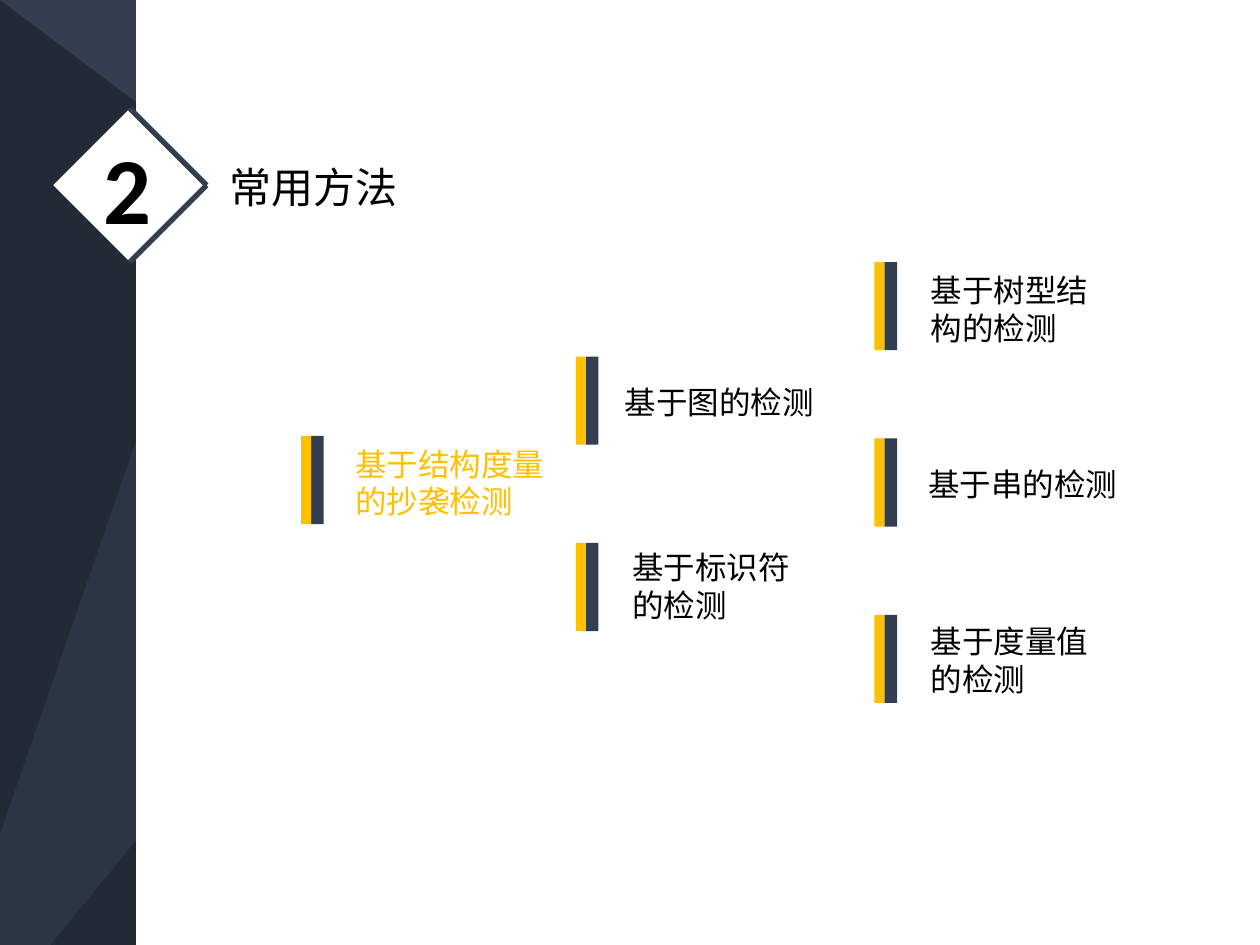
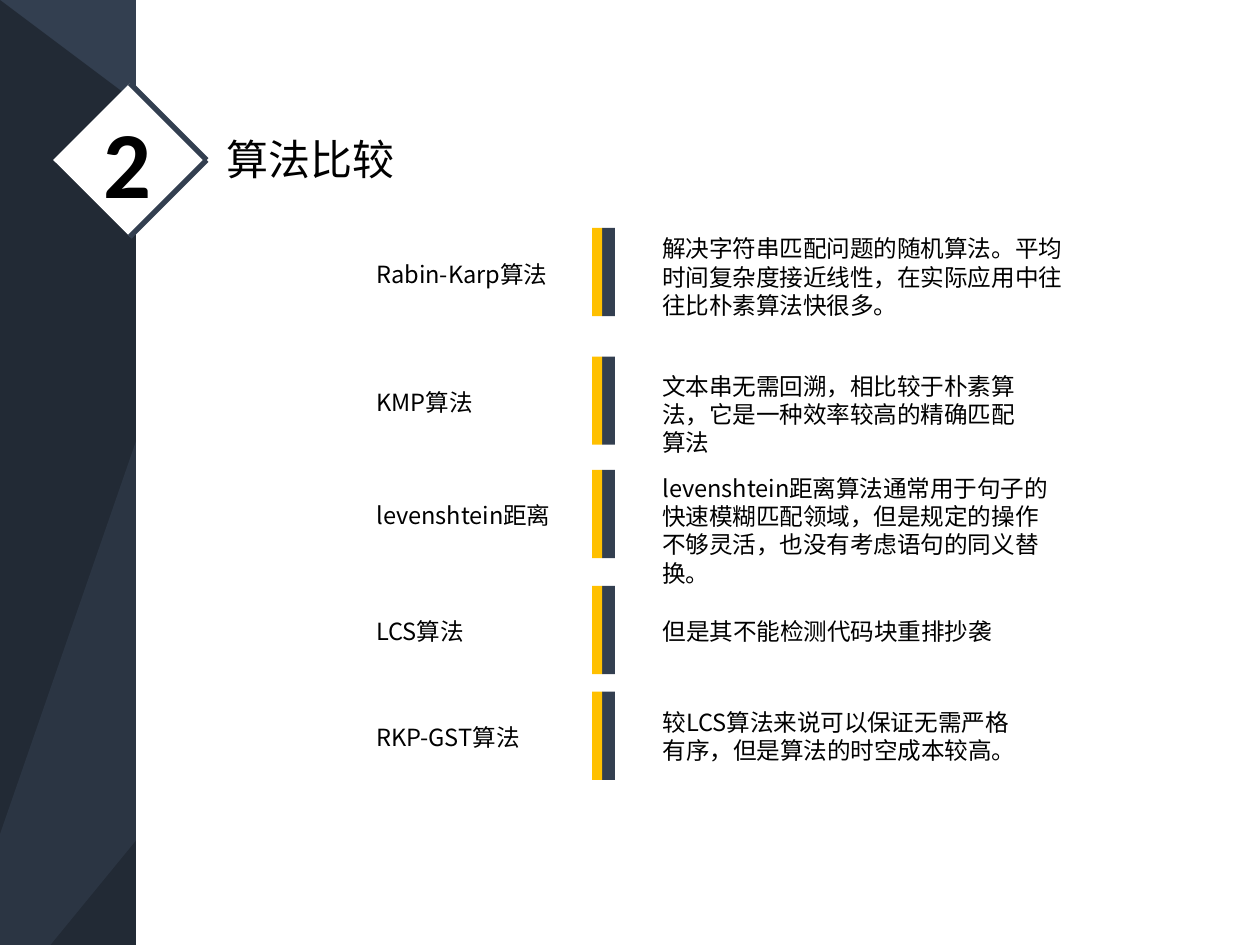
from pptx import Presentation
from pptx.dml.color import RGBColor
from pptx.enum.shapes import MSO_CONNECTOR, MSO_SHAPE
from pptx.enum.text import MSO_ANCHOR, MSO_AUTO_SIZE, PP_ALIGN
from pptx.oxml.ns import qn
from pptx.util import Inches, Pt
from lxml.etree import SubElement

SLATE = RGBColor(0x33, 0x3F, 0x50)
DEEP = RGBColor(0x22, 0x2A, 0x35)
MIDDLE = RGBColor(0x2B, 0x35, 0x43)
GOLD = RGBColor(0xFF, 0xC0, 0x00)
WHITE = RGBColor(0xFF, 0xFF, 0xFF)
BLACK = RGBColor(0, 0, 0)
CJK_FONT = "Noto Sans CJK SC"
NUMBER_FONT = "Calibri"

SLIDE_W, SLIDE_H = 10, 7.5
BAND_W = 1.08
GOLD_W, SLATE_W, BAR_H = 0.08, 0.1, 0.7

# Each facet of the side band: colour and corners
FACETS = [
    (DEEP, [(0, 0), (BAND_W, 0.81), (BAND_W, SLIDE_H), (0, SLIDE_H)]),
    (MIDDLE, [(BAND_W, 3.5), (BAND_W, 6.67), (0.4, SLIDE_H), (0, SLIDE_H), (0, 6.62)]),
]

# Column left, bar top, text (left, top, width, height), wording, colour
METHODS = [
    (2.39, 3.46, (2.72, 3.48, 1.76, 0.71), "基于结构度量的抄袭检测", GOLD),
    (4.57, 2.83, (4.86, 2.99, 1.8, 0.4), "基于图的检测", BLACK),
    (4.57, 4.31, (4.92, 4.3, 1.63, 0.71), "基于标识符的检测", BLACK),
    (6.94, 2.08, (7.29, 2.1, 1.61, 0.71), "基于树型结构的检测", BLACK),
    (6.94, 3.48, (7.27, 3.64, 1.75, 0.4), "基于串的检测", BLACK),
    (6.94, 4.88, (7.29, 4.89, 1.61, 0.71), "基于度量值的检测", BLACK),
]

# Row top, algorithm, description (offset from row top, width, height), wording
ALGORITHMS = [
    (1.81, "Rabin-Karp算法", (0, 3.4, 0.78),
     "解决字符串匹配问题的随机算法。平均时间复杂度接近线性，在实际应用中往往比朴素算法快很多。"),
    (2.83, "KMP算法", (0.07, 3.1, 0.78),
     "文本串无需回溯，相比较于朴素算法，它是一种效率较高的精确匹配算法"),
    (3.73, "levenshtein距离", (-0.02, 3.36, 1.01),
     "levenshtein距离算法通常用于句子的快速模糊匹配领域，但是规定的操作不够灵活，也没有考虑语句的同义替换。"),
    (4.65, "LCS算法", (0.2, 3.12, 0.33), "但是其不能检测代码块重排抄袭"),
    (5.49, "RKP-GST算法", (0.08, 2.98, 0.56),
     "较LCS算法来说可以保证无需严格有序，但是算法的时空成本较高。"),
]


def paint(shape, color):
    shape.shadow.inherit = False
    shape.fill.solid()
    shape.fill.fore_color.rgb = color
    shape.line.fill.background()


def add_block(shapes, left, top, width, height, color):
    block = shapes.add_shape(MSO_SHAPE.RECTANGLE, Inches(left), Inches(top),
                             Inches(width), Inches(height))
    paint(block, color)
    return block


def write(frame, wording, size, color=BLACK, font=CJK_FONT, bold=False,
          align=PP_ALIGN.LEFT):
    frame.word_wrap = True
    frame.auto_size = MSO_AUTO_SIZE.SHAPE_TO_FIT_TEXT
    frame.vertical_anchor = MSO_ANCHOR.TOP
    paragraph = frame.paragraphs[0]
    paragraph.alignment = align
    run = paragraph.add_run()
    run.text = wording
    run.font.size = Pt(size)
    run.font.bold = bold
    run.font.color.rgb = color
    run.font.name = font
    SubElement(run.font._element, qn("a:ea")).set("typeface", font)


def add_text(slide, box, wording, size, **style):
    text_box = slide.shapes.add_textbox(*map(Inches, box))
    write(text_box.text_frame, wording, size, **style)


def add_side_band(slide):
    """Faceted dark band on the left, white page on the right."""
    for color, corners in FACETS:
        points = [(Inches(x), Inches(y)) for x, y in corners]
        builder = slide.shapes.build_freeform(*points[0])
        builder.add_line_segments(points[1:])
        paint(builder.convert_to_shape(), color)
    add_block(slide.shapes, BAND_W, 0, SLIDE_W - BAND_W, SLIDE_H, WHITE)


def add_section_badge(slide, top, number):
    """Diamond with two edge lines, whose upper corner is at the given top."""
    center_x, reach, side = 1.03, 0.61, 0.86
    middle = top + reach
    badge = slide.shapes.add_group_shape()
    diamond = add_block(badge.shapes, center_x - side / 2, middle - side / 2,
                        side, side, WHITE)
    diamond.rotation = 45
    for corner_y in (top, middle + reach):
        edge = badge.shapes.add_connector(
            MSO_CONNECTOR.STRAIGHT, Inches(center_x), Inches(corner_y),
            Inches(center_x + reach), Inches(middle))
        edge.line.color.rgb = SLATE
        edge.line.width = Pt(3)
        SubElement(edge._element.spPr, qn("a:effectLst"))
    add_text(slide, (0.72, top + 0.12, 0.56, 1.01), number, 54,
             font=NUMBER_FONT, bold=True)


def add_title(slide, box, wording):
    title = slide.shapes.title
    title.left, title.top, title.width, title.height = map(Inches, box)
    write(title.text_frame, wording, 24, align=PP_ALIGN.JUSTIFY)
    # Bring the title in front of the white page
    title.element.getparent().append(title.element)


def add_bar(slide, left, top):
    bar = slide.shapes.add_group_shape()
    add_block(bar.shapes, left + GOLD_W, top, SLATE_W, BAR_H, SLATE)
    add_block(bar.shapes, left, top, GOLD_W, BAR_H, GOLD)


def add_section_slide(prs, badge_top, title_box, wording):
    slide = prs.slides.add_slide(prs.slide_layouts[5])
    add_side_band(slide)
    add_section_badge(slide, badge_top, "2")
    add_title(slide, title_box, wording)
    return slide


def build_methods(prs):
    slide = add_section_slide(prs, 0.86, (1.72, 1.23, 2, 0.5), "常用方法")
    for left, top, text_box, wording, color in METHODS:
        add_bar(slide, left, top)
        add_text(slide, text_box, wording, 18, color=color)


def build_comparison(prs):
    slide = add_section_slide(prs, 0.66, (1.7, 1.01, 2.03, 0.5), "算法比较")
    for top, algorithm, (offset, width, height), description in ALGORITHMS:
        add_text(slide, (2.89, top + 0.2, 1.6, 0.33), algorithm, 13.5,
                 align=PP_ALIGN.JUSTIFY)
        add_bar(slide, 4.7, top)
        add_text(slide, (5.16, top + offset, width, height), description, 13.5)


def main():
    prs = Presentation()
    prs.slide_width, prs.slide_height = Inches(SLIDE_W), Inches(SLIDE_H)
    backdrop = prs.slide_master.background.fill
    backdrop.solid()
    backdrop.fore_color.rgb = SLATE
    build_methods(prs)
    build_comparison(prs)
    prs.save("out.pptx")


if __name__ == "__main__":
    main()
